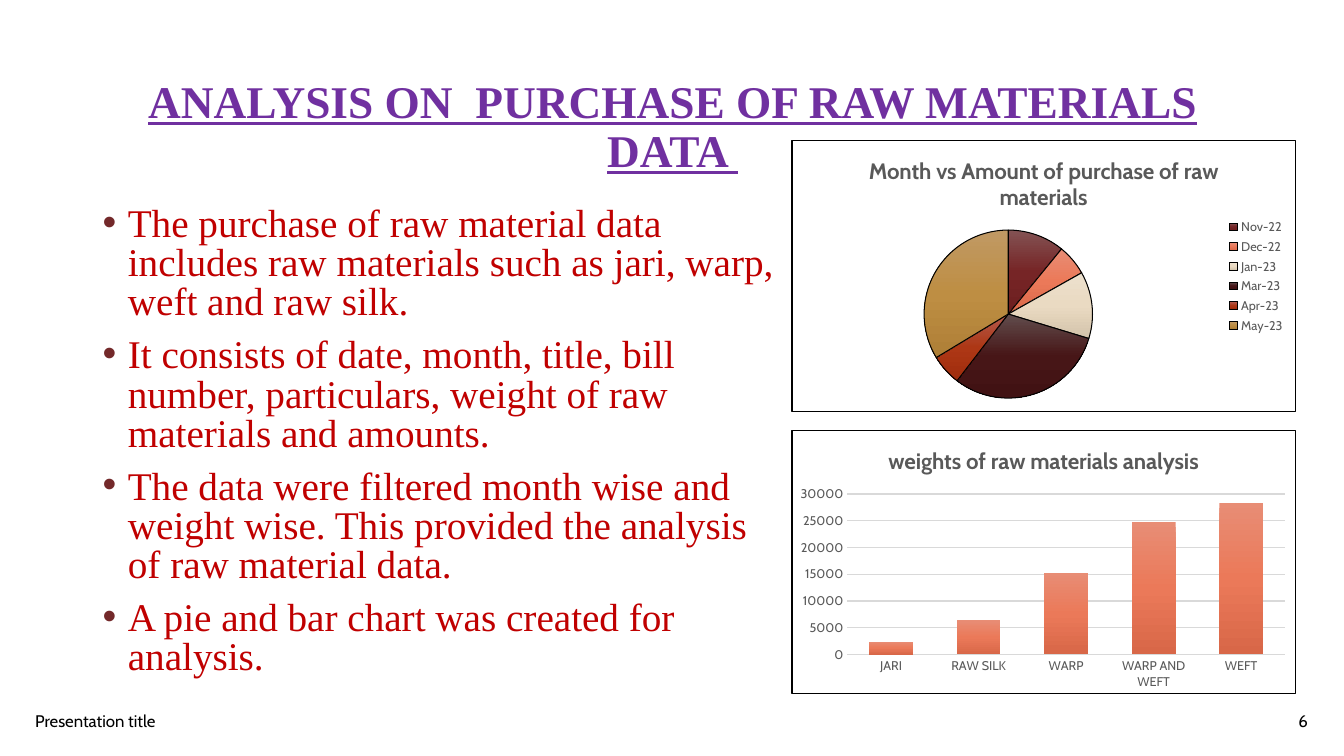
import dataclasses
import typing

import lxml.etree
import pptx
import pptx.chart.data
import pptx.dml.color
import pptx.enum.chart
import pptx.enum.text
import pptx.oxml
import pptx.oxml.ns
import pptx.util

Inches = pptx.util.Inches
Pt = pptx.util.Pt
qn = pptx.oxml.ns.qn
Align = pptx.enum.text.PP_ALIGN
Anchor = pptx.enum.text.MSO_ANCHOR
ChartType = pptx.enum.chart.XL_CHART_TYPE

SERIF, SANS = "Times New Roman", "Cabin"
GREY, BLACK = "595959", "000000"
CORAL = ("E88D75", "EB7959", "D86748")


@dataclasses.dataclass
class Label:
    text: str
    left: float
    width: float
    align: Align


@dataclasses.dataclass
class ChartPanel:
    kind: ChartType
    title: str
    top: float
    height: float
    plot: tuple[float, float, float, float]
    values: dict[str, int]
    gradients: list[tuple[str, str, str]]


BULLETS = [
    "The purchase of raw material data includes raw materials such as jari, warp, weft and raw silk.",
    "It consists of date, month, title, bill number, particulars, weight of raw materials and amounts.",
    "The data were filtered month wise and weight wise. This provided the analysis of raw material data.",
    "A pie and bar chart was created for analysis.",
]
LABELS = [
    Label("Presentation title", 0.25, 4.5, Align.LEFT),
    Label("6", 10.07, 3, Align.RIGHT),
]
PURCHASES = ChartPanel(
    ChartType.PIE, "Month vs Amount of purchase of raw materials", 1.39, 2.7,
    (0.26, 0.33, 0.34, 0.62),
    {"Nov-22": 11, "Dec-22": 6, "Jan-23": 13, "Mar-23": 31, "Apr-23": 6, "May-23": 34},
    [("835253", "762526", "6C1E1F"), CORAL, ("ECE0CD", "EADAC2", "D3C3AA"),
     ("614D4D", "471617", "411213"), ("B25A4E", "AD3715", "A02D0D"),
     ("C09964", "BE8E43", "AE7F36")],
)
WEIGHTS = ChartPanel(
    ChartType.COLUMN_CLUSTERED, "weights of raw materials analysis", 4.27, 2.62,
    (0.11, 0.24, 0.87, 0.61),
    {"JARI": 2400, "RAW SILK": 6400, "WARP": 15300, "WARP AND WEFT": 24700, "WEFT": 28400},
    [CORAL],
)


def colour(value: str) -> pptx.dml.color.RGBColor:
    return pptx.dml.color.RGBColor.from_string(value)


def apply(target: typing.Any, **values: typing.Any) -> None:
    for name, value in values.items():
        setattr(target, name, value)


def set_font(font: typing.Any, name: str, size: float, shade: str, **extra: bool) -> None:
    apply(font, name=name, size=Pt(size), **extra)
    font.color.rgb = colour(shade)


def set_line(line: typing.Any, shade: str, width: float) -> None:
    line.color.rgb = colour(shade)
    line.width = Pt(width)


def add_box(slide: typing.Any, left: float, top: float, width: float, height: float) -> typing.Any:
    box = slide.shapes.add_textbox(Inches(left), Inches(top), Inches(width), Inches(height))
    box.text_frame.word_wrap = True
    return box


def draw_title(slide: typing.Any, text: str) -> None:
    title = slide.shapes.title
    apply(title, left=Inches(0.92), top=Inches(0.42), width=Inches(11.5), height=Inches(1.45))
    apply(title.text_frame, text=text, word_wrap=True, vertical_anchor=Anchor.MIDDLE,
          auto_size=pptx.enum.text.MSO_AUTO_SIZE.NONE, margin_top=Inches(0.3))
    para = title.text_frame.paragraphs[0]
    apply(para, alignment=Align.CENTER, line_spacing=0.9)
    set_font(para.runs[0].font, SERIF, 32.4, "7030A0", bold=True, underline=True)


def draw_bullets(slide: typing.Any, texts: list[str]) -> None:
    frame = add_box(slide, 0.92, 2, 6.93, 4.78).text_frame
    for index, text in enumerate(texts):
        para = frame.paragraphs[0] if index == 0 else frame.add_paragraph()
        properties = para._p.get_or_add_pPr()
        properties.set("marL", str(Inches(0.25)))
        properties.set("indent", str(Inches(-0.25)))
        bullet_colour = lxml.etree.SubElement(properties, qn("a:buClr"))
        lxml.etree.SubElement(bullet_colour, qn("a:srgbClr"), val="73292A")
        lxml.etree.SubElement(properties, qn("a:buFont"), typeface="Arial")
        lxml.etree.SubElement(properties, qn("a:buChar"), char="•")
        apply(para, line_spacing=0.83, space_before=Pt(10 if index else 0))
        span = para.add_run()
        span.text = text
        set_font(span.font, SERIF, 28, "C00000")


def draw_label(slide: typing.Any, label: Label) -> None:
    frame = add_box(slide, label.left, 6.95, label.width, 0.4).text_frame
    apply(frame, text=label.text, vertical_anchor=Anchor.MIDDLE)
    para = frame.paragraphs[0]
    para.alignment = label.align
    set_font(para.runs[0].font, SANS, 12, BLACK)


def frame_chart(chart: typing.Any, plot: tuple[float, float, float, float]) -> None:
    """Outline the chart area and fix the place of the inner plot area."""
    border = pptx.oxml.parse_xml(
        f'<c:spPr {pptx.oxml.ns.nsdecls("c", "a")}>'
        '<a:solidFill><a:srgbClr val="FFFFFF"/></a:solidFill>'
        f'<a:ln w="{Pt(0.75)}"><a:solidFill><a:srgbClr val="{BLACK}"/></a:solidFill></a:ln></c:spPr>')
    chart.element.find(qn("c:chart")).addnext(border)
    area = chart.element.find(".//" + qn("c:plotArea"))
    for old in area.findall(qn("c:layout")):
        area.remove(old)
    layout = lxml.etree.Element(qn("c:layout"))
    manual = lxml.etree.SubElement(layout, qn("c:manualLayout"))
    settings = [("layoutTarget", "inner"), ("xMode", "edge"), ("yMode", "edge")]
    settings += zip("xywh", map(str, plot))
    for name, value in settings:
        lxml.etree.SubElement(manual, qn("c:" + name), val=value)
    area.insert(0, layout)


def paint(chart: typing.Any, formats: list[typing.Any], gradients: list[tuple[str, str, str]]) -> None:
    for item in formats:
        item.fill.gradient()
        item.fill.gradient_angle = 270
    for stops, shades in zip(chart.element.iter(qn("a:gsLst")), gradients):
        for old in list(stops):
            stops.remove(old)
        for position, shade in zip((0, 50000, 100000), shades):
            stop = lxml.etree.SubElement(stops, qn("a:gs"), pos=str(position))
            lxml.etree.SubElement(stop, qn("a:srgbClr"), val=shade)


def draw_chart(slide: typing.Any, panel: ChartPanel) -> typing.Any:
    data = pptx.chart.data.CategoryChartData()
    data.categories = list(panel.values)
    data.add_series("Series 1", list(panel.values.values()))
    chart = slide.shapes.add_chart(panel.kind, Inches(7.85), Inches(panel.top),
                                   Inches(5), Inches(panel.height), data).chart
    set_font(chart.font, SANS, 10, BLACK)
    apply(chart, has_title=True, has_legend=False)
    chart.chart_title.include_in_layout = False
    frame = chart.chart_title.text_frame
    frame.text = panel.title
    set_font(frame.paragraphs[0].runs[0].font, SANS, 16, GREY, bold=True)
    frame_chart(chart, panel.plot)
    return chart


def draw_pie(slide: typing.Any, panel: ChartPanel) -> None:
    chart = draw_chart(slide, panel)
    chart.has_legend = True
    apply(chart.legend, include_in_layout=False, position=pptx.enum.chart.XL_LEGEND_POSITION.RIGHT)
    set_font(chart.legend.font, SANS, 9, GREY)
    series = chart.plots[0].series[0]
    formats = [series.points[index].format for index in range(len(panel.values))]
    paint(chart, formats, panel.gradients)
    for item in [series.format, *formats]:
        set_line(item.line, BLACK, 0.75)


def draw_columns(slide: typing.Any, panel: ChartPanel) -> None:
    chart = draw_chart(slide, panel)
    apply(chart.plots[0], gap_width=100, overlap=-24, vary_by_categories=False)
    for axis in (chart.category_axis, chart.value_axis):
        axis.major_tick_mark = pptx.enum.chart.XL_TICK_MARK.NONE
        set_font(axis.tick_labels.font, SANS, 9, GREY)
    set_line(chart.category_axis.format.line, "D9D9D9", 1)
    chart.value_axis.format.line.fill.background()
    set_line(chart.value_axis.major_gridlines.format.line, "D9D9D9", 0.75)
    paint(chart, [chart.plots[0].series[0].format], panel.gradients)


def main() -> None:
    deck = pptx.Presentation()
    apply(deck, slide_width=Inches(13.33), slide_height=Inches(7.5))
    page = deck.slides.add_slide(deck.slide_layouts[5])
    # Text
    draw_title(page, "ANALYSIS ON  PURCHASE OF RAW MATERIALS DATA ")
    draw_bullets(page, BULLETS)
    for label in LABELS:
        draw_label(page, label)
    # Charts
    draw_pie(page, PURCHASES)
    draw_columns(page, WEIGHTS)
    deck.save("out.pptx")


if __name__ == "__main__":
    main()
